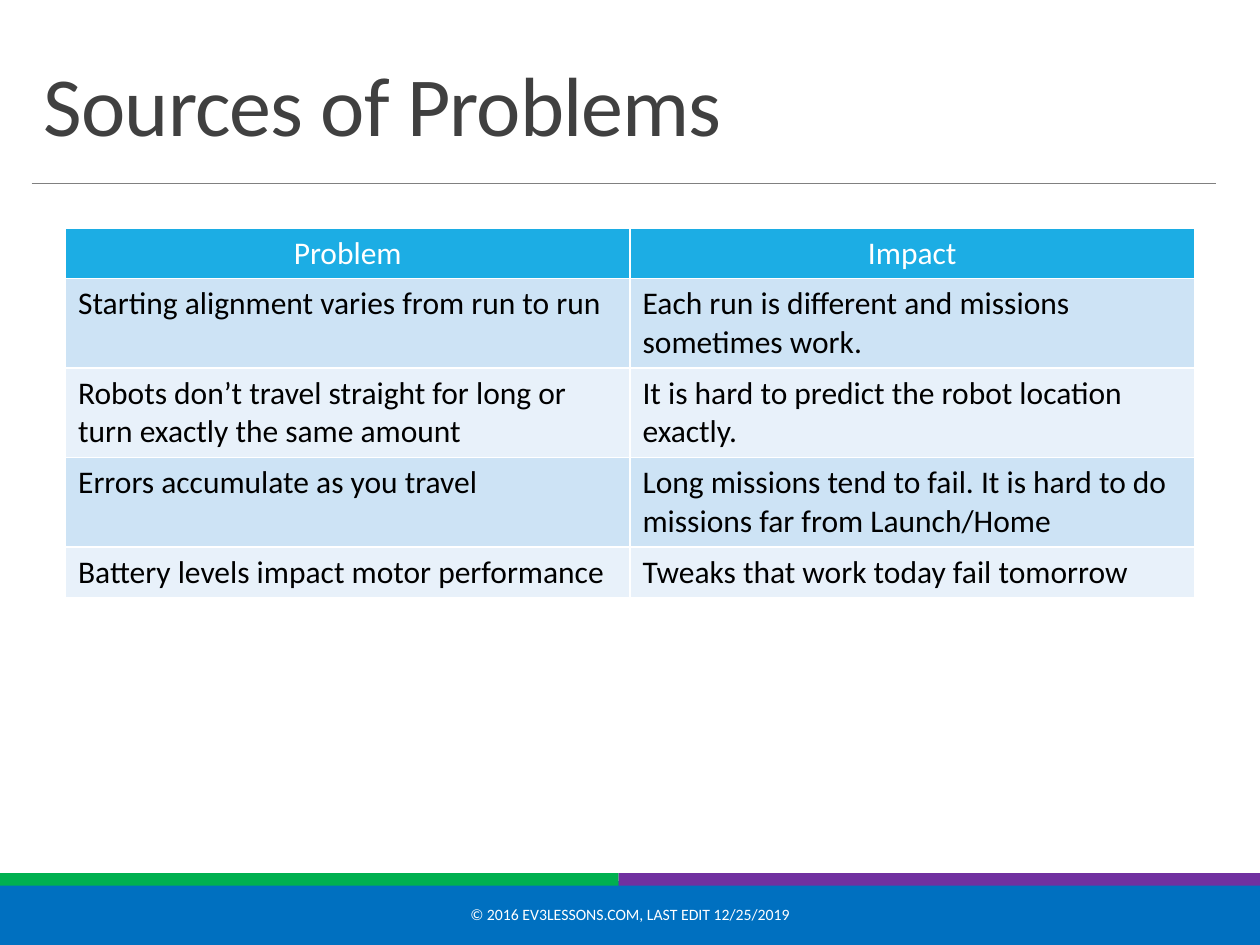
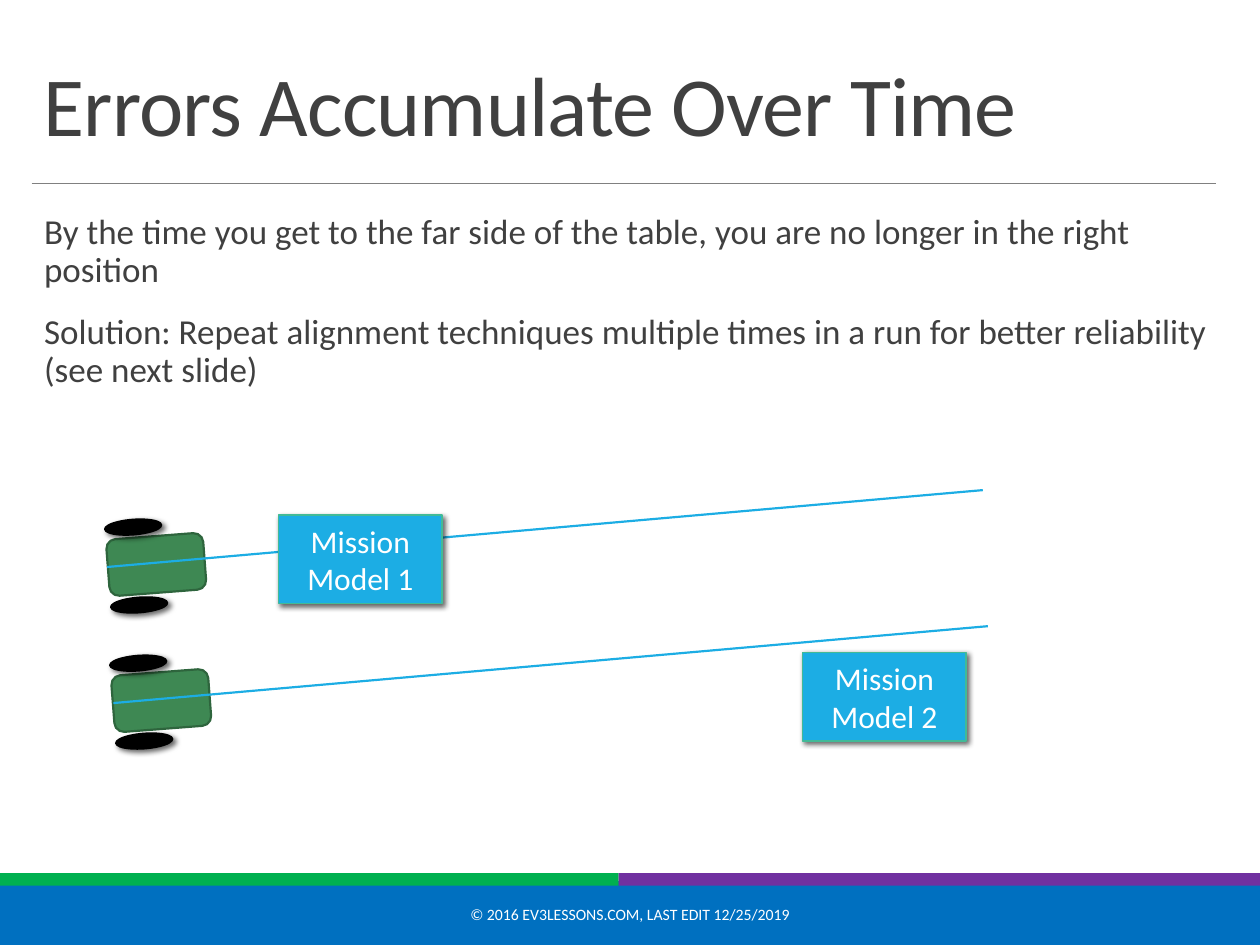
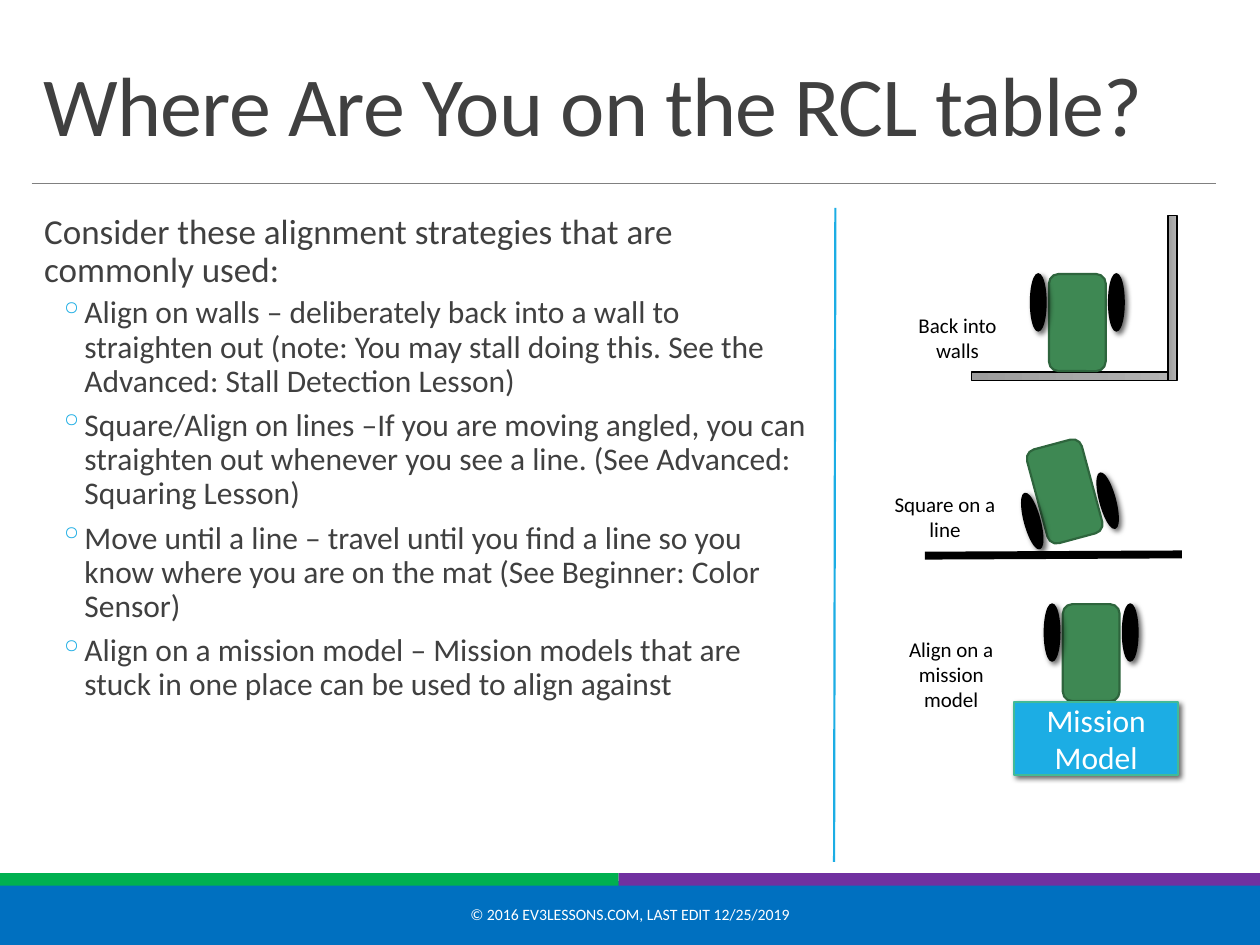
"""Build three slides on robot reliability, with a shared title, rule, bands and footer."""
from lxml.etree import SubElement as Sub
from pptx import Presentation
from pptx.dml.color import RGBColor
from pptx.enum.shapes import MSO_CONNECTOR as Conn, MSO_SHAPE as Kind
from pptx.enum.text import MSO_ANCHOR as Anchor, PP_ALIGN as Align
from pptx.oxml.ns import qn
from pptx.util import Inches, Pt

WHITE = RGBColor(0xFF, 0xFF, 0xFF)
BLACK = RGBColor(0, 0, 0)
GREY = RGBColor(0x40, 0x40, 0x40)
RULE = RGBColor(0x80, 0x80, 0x80)
BLUE = RGBColor(0x00, 0x70, 0xC0)
GREEN = RGBColor(0x00, 0xB0, 0x50)
PURPLE = RGBColor(0x70, 0x30, 0xA0)
SKY = RGBColor(0x1C, 0xAD, 0xE4)
TEAL = RGBColor(0x42, 0xBA, 0x97)
MOSS = RGBColor(0x3E, 0x88, 0x53)
DARK = RGBColor(0x2E, 0x65, 0x3D)
PALE = RGBColor(0xE8, 0xF1, 0xFA)
LIGHT = RGBColor(0xCD, 0xE3, 0xF5)
STEEL = RGBColor(0x9C, 0x9C, 0x9C)
SILVER = RGBColor(0xB4, 0xB4, 0xB4)

LEAD = {"line_spacing": 0.9, "space_after": Pt(2)}
ITEM = {"line_spacing": 0.9, "space_before": Pt(2), "space_after": Pt(4), "level": 1}
MID = {"alignment": Align.CENTER}


def draw(shapes, kind, at, fill, edge=None, width=1, shade=False):
    """Add a filled shape, with an outline and a drop shadow on request."""
    shape = shapes.add_shape(kind, *map(Inches, at))
    shape.shadow.inherit = False
    shape.fill.solid()
    shape.fill.fore_color.rgb = fill
    if edge is None:
        shape.line.fill.background()
    else:
        shape.line.color.rgb = edge
        shape.line.width = Pt(width)
    if shade:
        glow = Sub(shape._element.spPr.find(qn("a:effectLst")), qn("a:outerShdw"),
                   blurRad=str(Pt(3)), dist=str(Pt(2)), dir="2700000", rotWithShape="0")
        tint = Sub(glow, qn("a:srgbClr"), val=str(BLACK))
        Sub(tint, qn("a:alpha"), val="60000")
    return shape


def write(frame, text, size, color, form):
    """Add one paragraph to a text frame and return it."""
    frame.word_wrap = True
    para = frame.paragraphs[0]
    if para.runs:
        para = frame.add_paragraph()
    run = para.add_run()
    run.text = text
    for key, val in {"name": "Calibri", "size": Pt(size)}.items():
        setattr(run.font, key, val)
    run.font.color.rgb = color
    for key, val in form.items():
        setattr(para, key, val)
    return para


deck = Presentation()
deck.slide_width, deck.slide_height = Inches(10), Inches(7.5)

slides = []
lines = []
for title in ["Sources of Problems", "Errors Accumulate Over Time",
              "Where Are You on the RCL table?"]:
    slide = deck.slides.add_slide(deck.slide_layouts[6])
    slides.append(slide.shapes)
    draw(slide.shapes, Kind.RECTANGLE, (0, 7, 10, 0.5), BLUE, BLUE, 1.25)
    draw(slide.shapes, Kind.RECTANGLE, (0, 6.93, 4.91, 0.1), GREEN)
    draw(slide.shapes, Kind.RECTANGLE, (4.91, 6.93, 5.09, 0.1), PURPLE)
    lines.append((slide.shapes, 0.25, 1.46, 9.65, 1.46, RULE, 0.5))
    head = slide.shapes.add_textbox(*map(Inches, (0.25, 0.31, 9.4, 0.96))).text_frame
    head.vertical_anchor = Anchor.BOTTOM
    para = write(head, title, 48, GREY, {"line_spacing": 0.85})
    para.runs[0].font._element.set("spc", "-50")
    foot = slide.shapes.add_textbox(*map(Inches, (3.02, 7.06, 3.96, 0.4))).text_frame
    foot.vertical_anchor = Anchor.MIDDLE
    write(foot, "© 2016 EV3LESSONS.COM, LAST EDIT 12/25/2019", 9, WHITE, MID)
first, second, third = slides

rows = [
    ("Problem", "Impact"),
    ("Starting alignment varies from run to run",
     "Each run is different and missions sometimes work."),
    ("Robots don’t travel straight for long or turn exactly the same amount",
     "It is hard to predict the robot location exactly."),
    ("Errors accumulate as you travel",
     "Long missions tend to fail. It is hard to do missions far from Launch/Home"),
    ("Battery levels impact motor performance", "Tweaks that work today fail tomorrow"),
]
highs = [0.4, 0.71, 0.71, 0.71, 0.4]
grid = first.add_table(5, 2, *map(Inches, (0.52, 1.81, 8.96, sum(highs)))).table
for r, (row, high) in enumerate(zip(rows, highs)):
    grid.rows[r].height = Inches(high)
    for c, text in enumerate(row):
        cell = grid.cell(r, c)
        for side in ["lnL", "lnR", "lnT", "lnB"]:
            edge = Sub(cell._tc.get_or_add_tcPr(), qn("a:" + side), w=str(Pt(1)))
            Sub(Sub(edge, qn("a:solidFill")), qn("a:srgbClr"), val=str(WHITE))
        cell.fill.solid()
        cell.fill.fore_color.rgb = (LIGHT if r % 2 else PALE) if r else SKY
        write(cell.text_frame, text, 18, BLACK if r else WHITE, {} if r else MID)

bodies = [
    (second, 9.4, [
        "By the time you get to the far side of the table, you are no longer in the right position",
        "Solution: Repeat alignment techniques multiple times in a run for better reliability "
        "(see next slide)"], []),
    (third, 6.15, ["Consider these alignment strategies that are commonly used:"], [
        "Align on walls – deliberately back into a wall to straighten out (note: You may stall "
        "doing this. See the Advanced: Stall Detection Lesson)",
        "Square/Align on lines –If you are moving angled, you can straighten out whenever you "
        "see a line. (See Advanced: Squaring Lesson)",
        "Move until a line – travel until you find a line so you know where you are on the mat "
        "(See Beginner: Color Sensor)",
        "Align on a mission model – Mission models that are stuck in one place can be used to "
        "align against"]),
]
for shapes, wide, leads, items in bodies:
    body = shapes.add_textbox(*map(Inches, (0.25, 1.65, wide, 5.09))).text_frame
    body.margin_left = body.margin_right = 0
    for i, text in enumerate(leads):
        para = write(body, text, 20, GREY, LEAD)
        para._p.get_or_add_pPr().set("marL", str(Inches(0.1)))
        if i:
            para.space_before = Pt(12)
    for text in items:
        props = write(body, text, 18, GREY, ITEM)._p.get_or_add_pPr()
        props.set("marL", str(Inches(0.42)))
        props.set("indent", str(Inches(-0.2)))
        Sub(Sub(props, qn("a:buClr")), qn("a:srgbClr"), val=str(SKY))
        Sub(props, qn("a:buChar"), char="◦")

for at in [(7.71, 2.95, 1.62, 0.07), (9.27, 1.71, 0.07, 1.31)]:
    wall = draw(third, Kind.RECTANGLE, at, STEEL, BLACK)
    wall.fill.gradient()
    for stop, tone in zip(wall.fill.gradient_stops, [STEEL, SILVER]):
        stop.color.rgb = tone
    wall.fill.gradient_angle = 0

robots = [(second, 1.24, 4.48, 85.6), (second, 1.28, 5.56, 85.6),
          (third, 8.45, 3.9, 344.9), (third, 8.66, 5.18, 180), (third, 8.55, 2.56, 180)]
for shapes, x, y, turn in robots:
    robot = shapes.add_group_shape()
    draw(robot.shapes, Kind.ROUNDED_RECTANGLE, (x - 0.225, y - 0.385, 0.45, 0.77),
         MOSS, DARK, 1.25)
    for side in [-0.31, 0.31]:
        draw(robot.shapes, Kind.OVAL, (x + side - 0.06, y - 0.065, 0.12, 0.45),
             BLACK, BLACK, shade=True)
    robot.rotation = turn

lines += [(second, 0.85, 4.5, 7.8, 3.89, SKY, 1.25),
          (second, 0.9, 5.58, 7.84, 4.97, SKY, 1.25),
          (third, 9.38, 4.4, 7.34, 4.41, BLACK, 4.5),
          (third, 6.62, 6.84, 6.63, 1.65, SKY, 1.25)]
for shapes, *ends, color, width in lines:
    line = shapes.add_connector(Conn.STRAIGHT, *map(Inches, ends))
    line.line.color.rgb = color
    line.line.width = Pt(width)
    Sub(line._element.spPr, qn("a:effectLst"))

models = [(second, "Mission Model 1", (2.21, 4.09, 1.3, 0.7)),
          (second, "Mission Model 2", (6.37, 5.18, 1.3, 0.7)),
          (third, "Mission Model", (8.05, 5.57, 1.3, 0.58))]
for shapes, text, at in models:
    model = draw(shapes, Kind.RECTANGLE, at, SKY, TEAL, shade=True)
    model.text_frame.vertical_anchor = Anchor.MIDDLE
    write(model.text_frame, text, 18, WHITE, MID)

labels = [("Back into walls", (7.1, 2.43, 1, 0.5)),
          ("Square on a line", (7, 3.85, 1, 0.5)),
          ("Align on a mission model", (7.05, 5, 1, 0.71))]
for text, at in labels:
    write(third.add_textbox(*map(Inches, at)).text_frame, text, 12, BLACK, MID)

deck.save("out.pptx")
